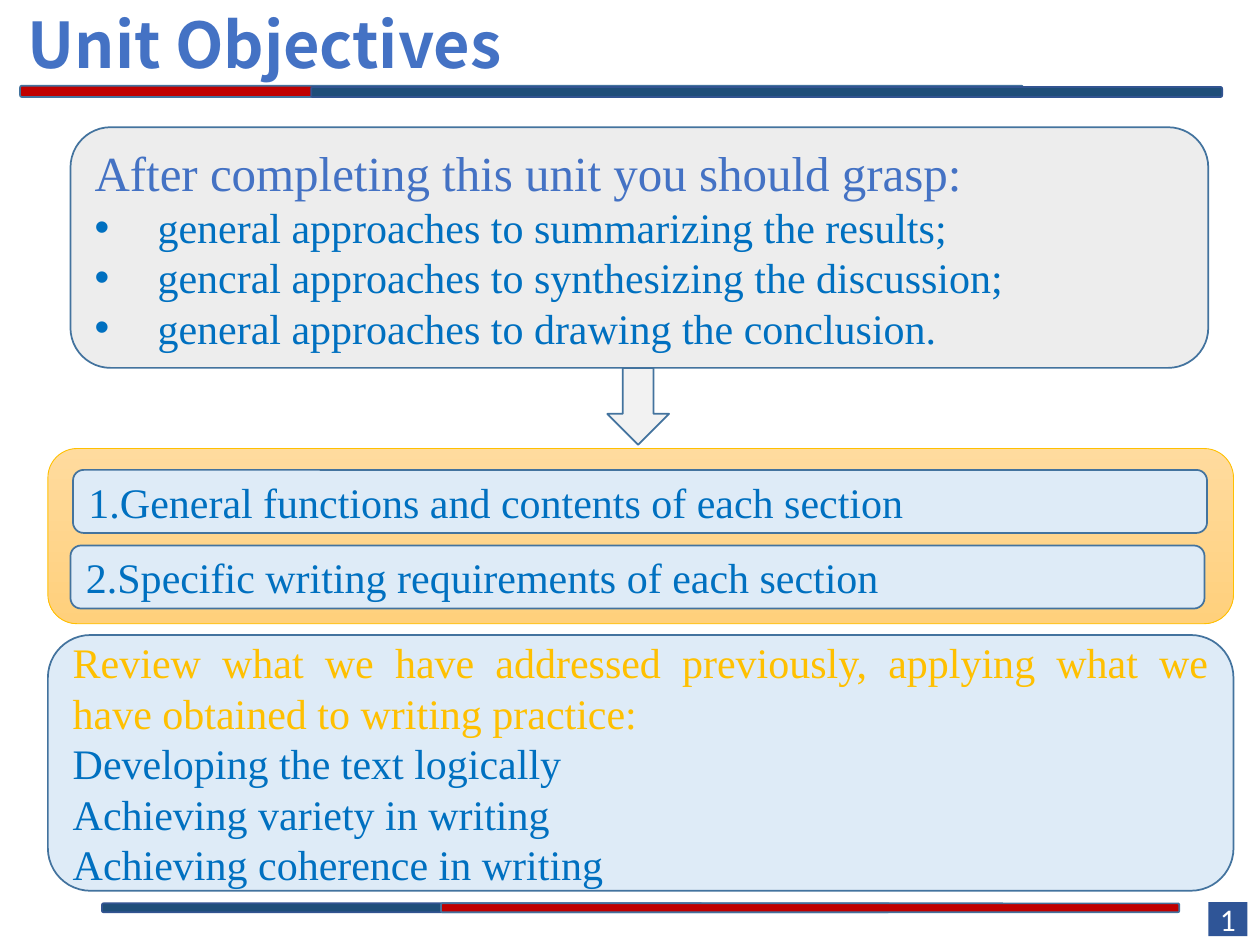
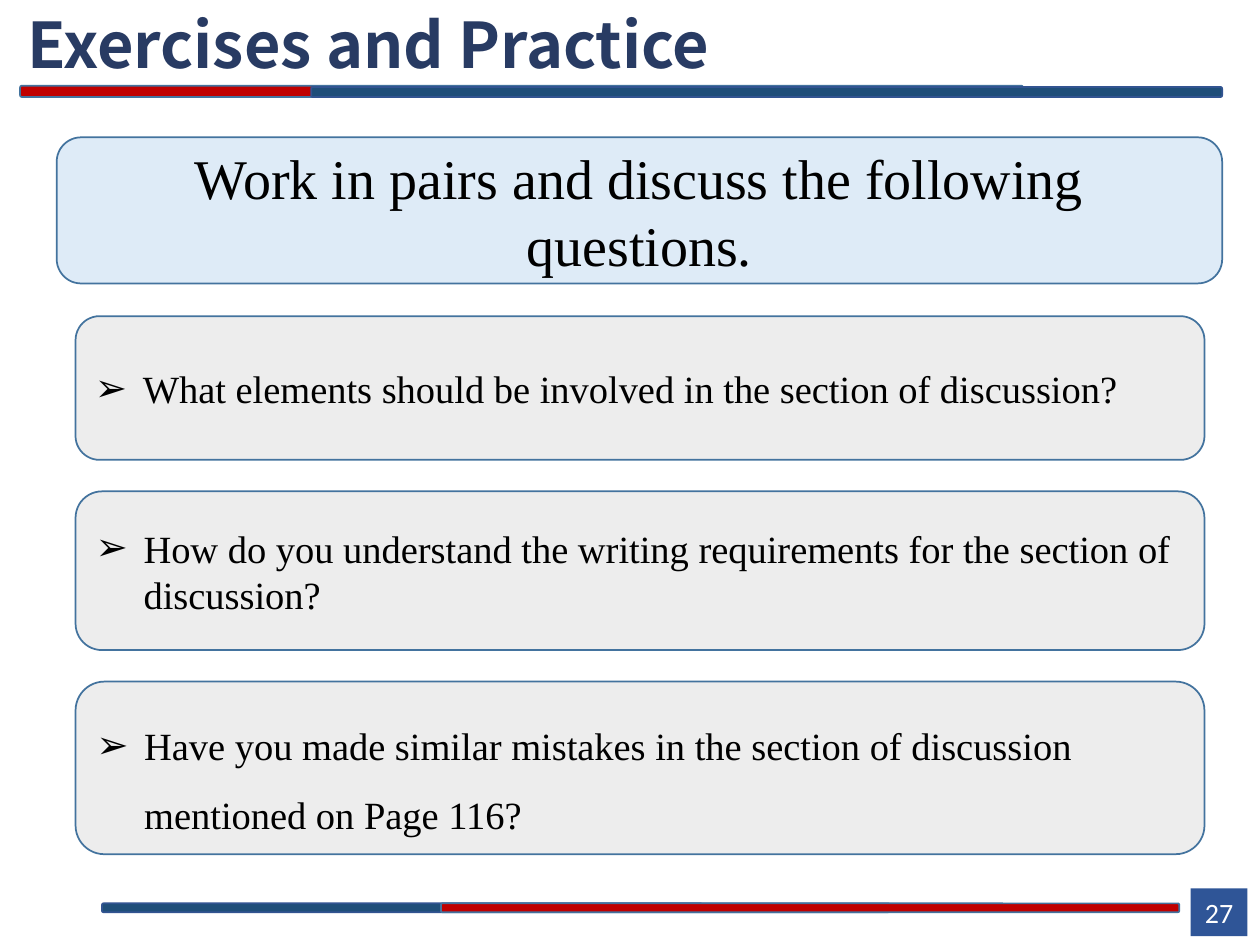
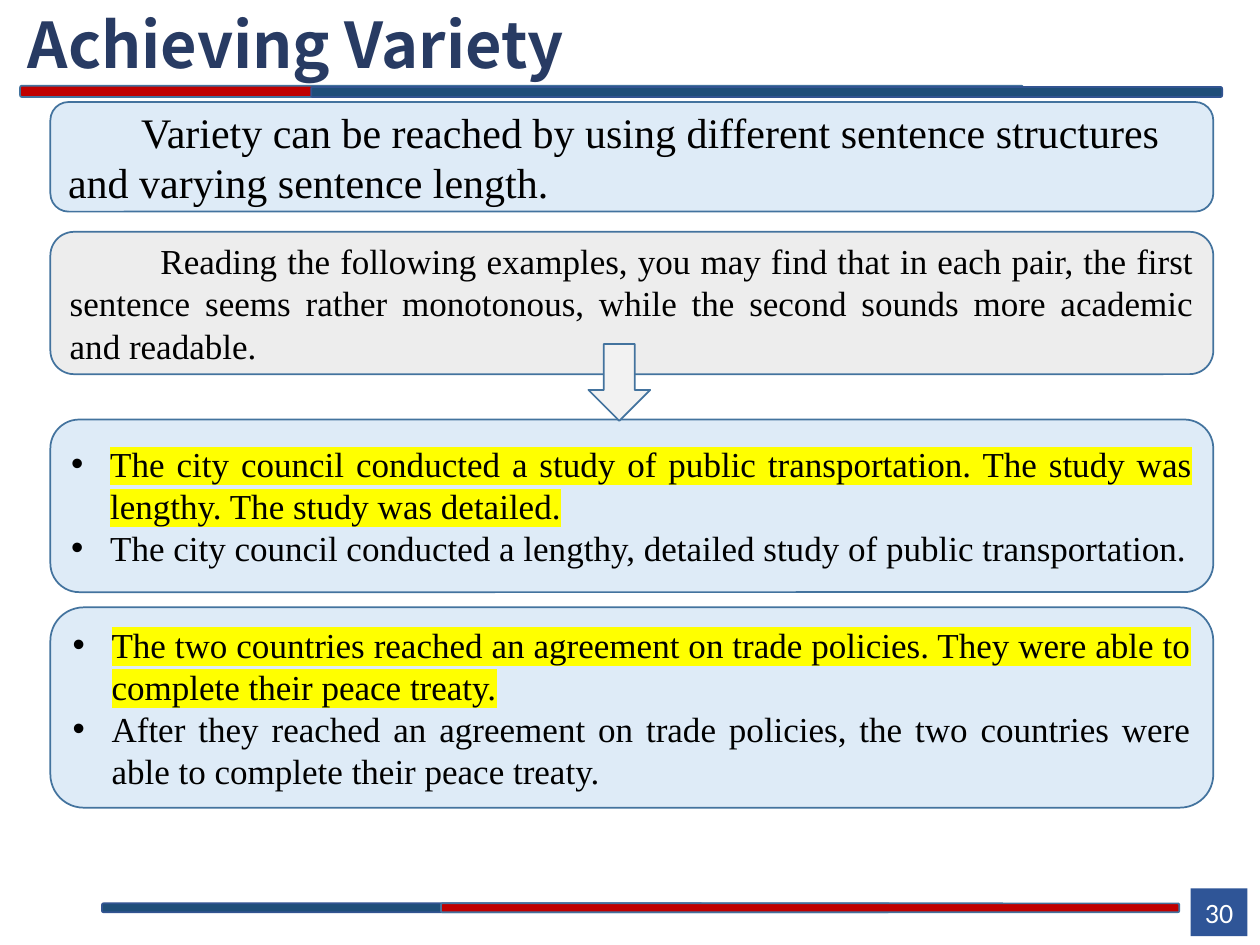
from lxml import etree
from pptx import Presentation
from pptx.dml.color import RGBColor
from pptx.enum import shapes, text
from pptx.oxml import ns
from pptx.util import Inches, Pt

NAVY = RGBColor(0x1F, 0x4E, 0x79)
RED = RGBColor(0xC0, 0x00, 0x00)
EDGE = RGBColor(0x43, 0x73, 0x9E)
RIM = RGBColor(0x32, 0x54, 0x91)
BADGE = RGBColor(0x2F, 0x55, 0x97)
INK = RGBColor(0x28, 0x3B, 0x63)
BLUE = RGBColor(0x44, 0x72, 0xC4)
AZURE = RGBColor(0x00, 0x70, 0xC0)
PALE = RGBColor(0xDE, 0xEB, 0xF7)
GREY = RGBColor(0xED, 0xED, 0xED)
LIGHT = RGBColor(0xF2, 0xF2, 0xF2)
GOLD = RGBColor(0xFF, 0xC0, 0x00)
PEACH = RGBColor(0xFF, 0xDB, 0x9E)
AMBER = RGBColor(0xFF, 0xD0, 0x7C)
BLACK = RGBColor(0x00, 0x00, 0x00)
WHITE = RGBColor(0xFF, 0xFF, 0xFF)

SERIF = "Times New Roman"
KIND = shapes.MSO_SHAPE
ALIGN = text.PP_ALIGN
LEFT, MID, JUST = ALIGN.LEFT, ALIGN.CENTER, ALIGN.JUSTIFY


def write(frame, words, size=24, color=BLACK, font=SERIF, bold=False,
          align=LEFT, bullet=None, hang=0, first=0, space=None, mark=None):
    para = frame.paragraphs[0]
    if para.runs:
        para = frame.add_paragraph()
    props = para._p.get_or_add_pPr()
    if hang or first:
        props.set("marL", str(Inches(hang)))
        props.set("indent", str(Inches(first - hang)))
    if bullet:
        etree.SubElement(props, ns.qn("a:buFont")).set("typeface", "Arial")
        etree.SubElement(props, ns.qn("a:buChar")).set("char", bullet)
    para.alignment = align
    if space:
        para.line_spacing = space
    run = para.add_run()
    run.text = words
    run.font.size = Pt(size)
    run.font.bold = bold
    run.font.name = font
    run.font.color.rgb = color
    if mark:
        glow = etree.Element(ns.qn("a:highlight"))
        etree.SubElement(glow, ns.qn("a:srgbClr")).set("val", mark)
        run._r.get_or_add_rPr().find(ns.qn("a:latin")).addprevious(glow)


class Deck:
    def __init__(self):
        self.prs = Presentation()
        self.prs.slide_width = Inches(10)
        self.prs.slide_height = Inches(7.5)
        self.slide = None

    def page(self, title, number, color=INK, badge=(0.45, 0.38), size=16):
        self.slide = self.prs.slides.add_slide(self.prs.slide_layouts[5])
        self.title(title, color)
        wide, high = badge
        frame = self.shape(KIND.RECTANGLE, 9.9 - wide, 7.43 - high,
                           wide, high, BADGE, None)
        frame.margin_left = frame.margin_right = 0
        write(frame, number, size=size, color=WHITE, font="Calibri", align=MID)
        self.box(0.16, 0.68, 7.96, 0.09, RED)
        self.box(2.47, 0.69, 7.23, 0.08, NAVY, RIM)
        self.box(0.81, 7.17, 6.25, 0.07, NAVY, RIM)
        self.box(3.5, 7.17, 5.86, 0.07, RED)

    def title(self, words, color):
        head = self.slide.shapes.title
        head.left, head.top = Inches(0.22), Inches(0.03)
        head.width, head.height = Inches(6.57), Inches(0.62)
        frame = head.text_frame
        frame.margin_left = frame.margin_right = frame.margin_bottom = 0
        frame.margin_top = Inches(0.01)
        frame.vertical_anchor = text.MSO_ANCHOR.TOP
        frame.auto_size = text.MSO_AUTO_SIZE.SHAPE_TO_FIT_TEXT
        write(frame, words, size=36, color=color, font="Noto Sans CJK SC",
              bold=True)

    def shape(self, kind, left, top, wide, high, fill, line=EDGE, weight=1):
        item = self.slide.shapes.add_shape(
            kind, Inches(left), Inches(top), Inches(wide), Inches(high))
        item.shadow.inherit = False
        if isinstance(fill, list):
            item.fill.gradient()
            item.fill.gradient_angle = 270
            for stop, color in zip(item.fill.gradient_stops, fill):
                stop.color.rgb = color
        else:
            item.fill.solid()
            item.fill.fore_color.rgb = fill
        if line is None:
            item.line.fill.background()
        else:
            item.line.color.rgb = line
            item.line.width = Pt(weight)
        frame = item.text_frame
        frame.word_wrap = True
        frame.vertical_anchor = text.MSO_ANCHOR.MIDDLE
        return frame

    def box(self, *place, **style):
        return self.shape(KIND.ROUNDED_RECTANGLE, *place, **style)

    def arrow(self, left, top):
        self.shape(KIND.DOWN_ARROW, left, top, 0.49, 0.61, LIGHT)


def goals(deck):
    deck.page("Unit Objectives", "1", BLUE, badge=(0.31, 0.27), size=18)
    deck.box(0.38, 3.56, 9.41, 1.39, [PEACH, AMBER], line=GOLD, weight=0.5)

    aims = deck.box(0.56, 1.01, 9.03, 1.91, GREY)
    write(aims, "After completing this unit you should grasp:",
          size=28, color=BLUE, align=JUST)
    for aim in ("general approaches to summarizing the results;",
                "gencral approaches to synthesizing the discussion;",
                "general approaches to drawing the conclusion."):
        write(aims, aim, color=AZURE, align=JUST, bullet="•", hang=0.5)

    for left, top, topic in (
            (0.58, 3.73, "1.General functions and contents of each section"),
            (0.56, 4.33, "2.Specific writing requirements of each section")):
        write(deck.box(left, top, 9, 0.5, PALE), topic, color=AZURE)

    tasks = deck.box(0.38, 5.04, 9.41, 2.03, PALE)
    write(tasks, "Review what we have addressed previously, applying what we "
          "have obtained to writing practice:", color=GOLD, align=JUST)
    for task in ("Developing the text logically",
                 "Achieving variety in writing",
                 "Achieving coherence in writing"):
        write(tasks, task, color=AZURE, align=JUST)
    deck.arrow(4.82, 2.92)


def drills(deck):
    deck.page("Exercises and Practice", "27")
    write(deck.box(0.45, 1.09, 9.25, 1.16, PALE),
          "Work in pairs and discuss the following questions.",
          size=32, align=MID)
    top = 2.51
    for high, space, query in (
            (1.14, None, "What elements should be involved in the section of "
             "discussion?"),
            (1.26, None, "How do you understand the writing requirements for "
             "the section of discussion?"),
            (1.37, 1.5, "Have you made similar mistakes in the section of "
             "discussion mentioned on Page 116?")):
        write(deck.box(0.6, top, 8.96, high, GREY), query,
              size=22, bullet="➢", hang=0.38, space=space)
        top += high + 0.25


def variety(deck):
    deck.page("Achieving Variety", "30")
    left, wide = 0.4, 9.23
    write(deck.box(left, 0.81, wide, 0.87, PALE),
          "Variety can be reached by using different sentence structures and "
          "varying sentence length.", first=0.58)
    write(deck.box(left, 1.84, wide, 1.13, GREY),
          "Reading the following examples, you may find that in each pair, "
          "the first sentence seems rather monotonous, while the second "
          "sounds more academic and readable.",
          size=20, align=JUST, first=0.72)
    for top, high, plain, better in (
            (3.33, 1.37,
             "The city council conducted a study of public transportation. "
             "The study was lengthy. The study was detailed.",
             "The city council conducted a lengthy, detailed study of public "
             "transportation."),
            (4.82, 1.59,
             "The two countries reached an agreement on trade policies. They "
             "were able to complete their peace treaty.",
             "After they reached an agreement on trade policies, the two "
             "countries were able to complete their peace treaty.")):
        pair = deck.box(left, top, wide, high, PALE)
        for words, mark in ((plain, "FFFF00"), (better, None)):
            write(pair, words, size=20, align=JUST, bullet="•", hang=0.31,
                  mark=mark)
    deck.arrow(4.67, 2.73)


def main():
    deck = Deck()
    goals(deck)
    drills(deck)
    variety(deck)
    deck.prs.save("out.pptx")


if __name__ == "__main__":
    main()
